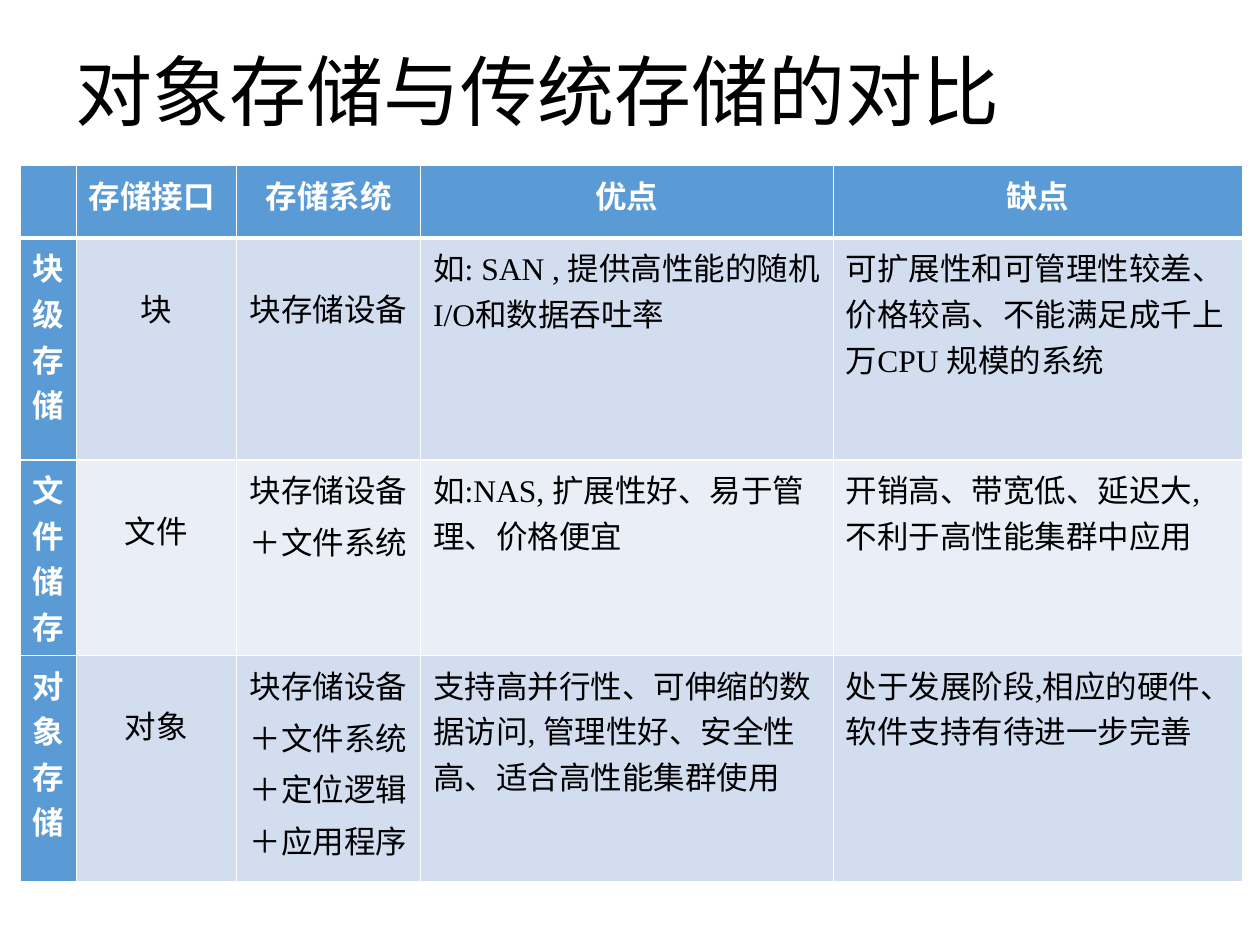
import pptx
import pptx.dml.color
import pptx.enum.text
import pptx.oxml
import pptx.oxml.ns
import pptx.util

Cm = pptx.util.Cm
Pt = pptx.util.Pt
ALIGN = pptx.enum.text.PP_ALIGN

FONT = "Times New Roman"
HEADER_FILL = "5B9BD5"
BAND_FILLS = ["D2DEEF", "EAEFF7"]
COLUMN_WIDTHS = [1.13, 3.23, 3.71, 8.32, 8.25]
ROW_HEIGHTS = [1.47, 4.47, 3.94, 4.57]
LOWERED_TOP = 0.95  # top margin that drops a cell's text by one line

ROWS = [
    ["", "存储接口", "存储系统", "优点", "缺点"],
    ["块级存储", "块", "块存储设备",
     "如: SAN , 提供高性能的随机I/O和数据吞吐率",
     "可扩展性和可管理性较差、价格较高、不能满足成千上万CPU 规模的系统"],
    ["文件储存", "文件", "块存储设备\n＋文件系统",
     "如:NAS, 扩展性好、易于管理、价格便宜",
     "开销高、带宽低、延迟大,不利于高性能集群中应用"],
    ["对象存储", "对象", "块存储设备\n＋文件系统\n＋定位逻辑\n＋应用程序",
     "支持高并行性、可伸缩的数据访问, 管理性好、安全性高、适合高性能集群使用",
     "处于发展阶段,相应的硬件、软件支持有待进一步完善"],
]


def color(value):
    return pptx.dml.color.RGBColor.from_string(value)


def add_run(p, text, size, fill, bold=False):
    r = p.add_run()
    r.text = text
    r.font.name = FONT
    r.font.size = Pt(size)
    r.font.bold = bold
    r.font.color.rgb = color(fill)


def set_borders(cell, top_width, bottom_width):
    """Draw white borders; call before setting the fill, to keep XML order."""
    tc_pr = cell._tc.get_or_add_tcPr()
    for side, width in (("L", 1), ("R", 1), ("T", top_width), ("B", bottom_width)):
        tc_pr.append(pptx.oxml.parse_xml(
            f'<a:ln{side} {pptx.oxml.ns.nsdecls("a")} w="{Pt(width)}">'
            '<a:solidFill><a:srgbClr val="FFFFFF"/></a:solidFill>'
            f'</a:ln{side}>'))


def add_title(slide, left, top, width, height):
    tf = slide.shapes.add_textbox(left, top, width, height).text_frame
    tf.word_wrap = True
    tf.vertical_anchor = pptx.enum.text.MSO_ANCHOR.MIDDLE
    p = tf.paragraphs[0]
    p.line_spacing = 0.9
    add_run(p, "对象存储与传统存储的对比", 44, "000000")


def fill_cell(cell, text, row, col):
    is_header = row == 0 or col == 0
    set_borders(cell, 3 if row == 1 else 1, 3 if row == 0 else 1)
    cell.fill.solid()
    cell.fill.fore_color.rgb = color(
        HEADER_FILL if is_header else BAND_FILLS[(row - 1) % 2])
    if row > 0 and (col == 1 or (row, col) == (1, 2)):
        cell.margin_top = Cm(LOWERED_TOP)
    centered = col >= 2 if row == 0 else col in (1, 2)
    tf = cell.text_frame
    for i, line in enumerate(text.split("\n")):
        p = tf.add_paragraph() if i else tf.paragraphs[0]
        p.alignment = ALIGN.CENTER if centered else ALIGN.LEFT
        if i:
            p.space_before = Pt(3.6)
        if line:
            add_run(p, line, 18, "FFFFFF" if is_header else "000000", is_header)


def add_comparison_table(slide, left, top):
    table = slide.shapes.add_table(
        len(ROWS), len(COLUMN_WIDTHS), left, top,
        Cm(sum(COLUMN_WIDTHS)), Cm(sum(ROW_HEIGHTS))).table
    for column, width in zip(table.columns, COLUMN_WIDTHS):
        column.width = Cm(width)
    for row, height in zip(table.rows, ROW_HEIGHTS):
        row.height = Cm(height)
    for i, texts in enumerate(ROWS):
        for j, text in enumerate(texts):
            fill_cell(table.cell(i, j), text, i, j)


def main():
    prs = pptx.Presentation()
    prs.slide_width, prs.slide_height = Cm(25.4), Cm(19.05)
    slide = prs.slides.add_slide(prs.slide_layouts[6])
    add_title(slide, Cm(1.27), Cm(0.93), Cm(22.86), Cm(2))
    add_comparison_table(slide, Cm(0.41), Cm(3.33))
    prs.save("out.pptx")


if __name__ == "__main__":
    main()
